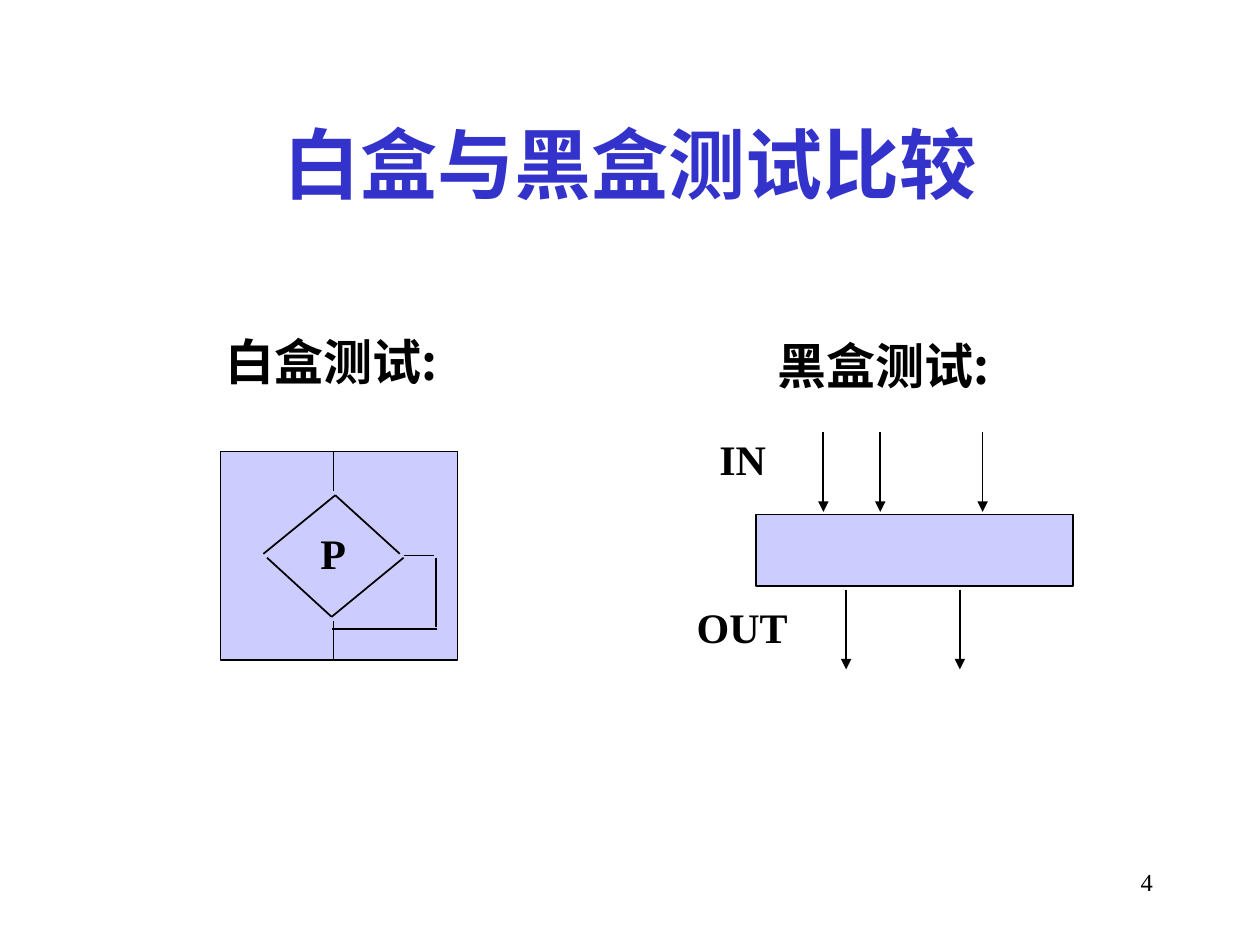
from pptx import Presentation
from pptx.dml.color import RGBColor
from pptx.enum.shapes import MSO_CONNECTOR as Connector, MSO_SHAPE as Shape
from pptx.enum.text import MSO_ANCHOR as Anchor, MSO_AUTO_SIZE as AutoSize, PP_ALIGN as Align
from pptx.oxml.ns import qn
from pptx.util import Pt
from lxml.etree import SubElement


def color(value):
    return RGBColor.from_string(value)


class SlideBuilder:
    latin = "Times New Roman"
    chinese = "Noto Sans CJK SC"
    title_color = "3333CC"
    ink = "000000"
    fill = "CCCCFF"

    def __init__(self, slide):
        self.slide = slide

    def format_text(self, text_frame, text, size, font=latin, ink=ink, bold=True, align=Align.LEFT):
        text_frame.text = text
        paragraph = text_frame.paragraphs[0]
        paragraph.alignment = align
        run = paragraph.runs[0]
        run.font.name = font
        run.font.size = Pt(size)
        run.font.bold = bold
        run.font.color.rgb = color(ink)
        SubElement(run.font._element, qn("a:ea")).set("typeface", self.chinese)

    def title(self, text, left, top, width, height):
        shape = self.slide.shapes.title
        shape.left, shape.top, shape.width, shape.height = map(Pt, (left, top, width, height))
        self.format_text(shape.text_frame, text, 44, ink=self.title_color, align=Align.CENTER)
        shape.text_frame.vertical_anchor = Anchor.MIDDLE

    def text(self, text, left, top, width, height, size, wrap=False, **style):
        shape = self.slide.shapes.add_textbox(Pt(left), Pt(top), Pt(width), Pt(height))
        self.format_text(shape.text_frame, text, size, **style)
        shape.text_frame.word_wrap = wrap
        shape.text_frame.auto_size = AutoSize.NONE if wrap else AutoSize.SHAPE_TO_FIT_TEXT

    def box(self, left, top, width, height):
        shape = self.slide.shapes.add_shape(Shape.RECTANGLE, Pt(left), Pt(top), Pt(width), Pt(height))
        shape.shadow.inherit = False
        shape.fill.solid()
        shape.fill.fore_color.rgb = color(self.fill)
        shape.line.color.rgb = color(self.ink)
        shape.line.width = Pt(1)

    def line(self, start, end, arrow=False):
        connector = self.slide.shapes.add_connector(Connector.STRAIGHT, *map(Pt, (*start, *end)))
        connector.line.color.rgb = color(self.ink)
        connector.line.width = Pt(1)
        if arrow:
            SubElement(connector.line._get_or_add_ln(), qn("a:tailEnd")).set("type", "triangle")
        SubElement(connector._element.spPr, qn("a:effectLst"))


def main():
    presentation = Presentation()
    presentation.slide_width, presentation.slide_height = Pt(720), Pt(540)
    slide = presentation.slides.add_slide(presentation.slide_layouts[5])
    builder = SlideBuilder(slide)

    builder.title("白盒与黑盒测试比较", 54, 48, 612, 90)
    builder.text("4", 516, 492, 150, 36, 14, wrap=True, bold=False, align=Align.RIGHT)
    builder.box(126, 258, 135.5, 119)
    builder.box(432, 294, 181, 41)

    arrow_length = 45.5
    for top, columns in ((247, (470.5, 503, 561.5)), (337, (483.5, 548.5))):
        for x in columns:
            builder.line((x, top), (x, top + arrow_length), arrow=True)

    flow_lines = (
        ((190.6, 258.5), (190.6, 280.5)),
        ((191.6, 283), (150.5, 316.5)),
        ((152.6, 318.7), (189.5, 352.5)),
        ((191.6, 283), (228.5, 316.5)),
        ((230.6, 318.7), (189.5, 352.5)),
        ((190.6, 355), (190.6, 376.8)),
        ((230.6, 317.5), (248, 317.5)),
        ((249, 318.7), (249, 358.5)),
        ((250, 359.5), (189.5, 359.5)),
    )
    for start, end in flow_lines:
        builder.line(start, end)

    for label, left, top, width in (
        ("P", 176, 298, 30), ("IN", 404, 244, 42), ("OUT", 391, 340, 68),
    ):
        builder.text(label, left, top, width, 36, 24)

    for heading, left, top in (("白盒测试:", 122, 185.8), ("黑盒测试:", 437.5, 188)):
        builder.text(heading, left, top, 149.5, 40, 28, font=builder.chinese)

    presentation.save("out.pptx")


if __name__ == "__main__":
    main()
